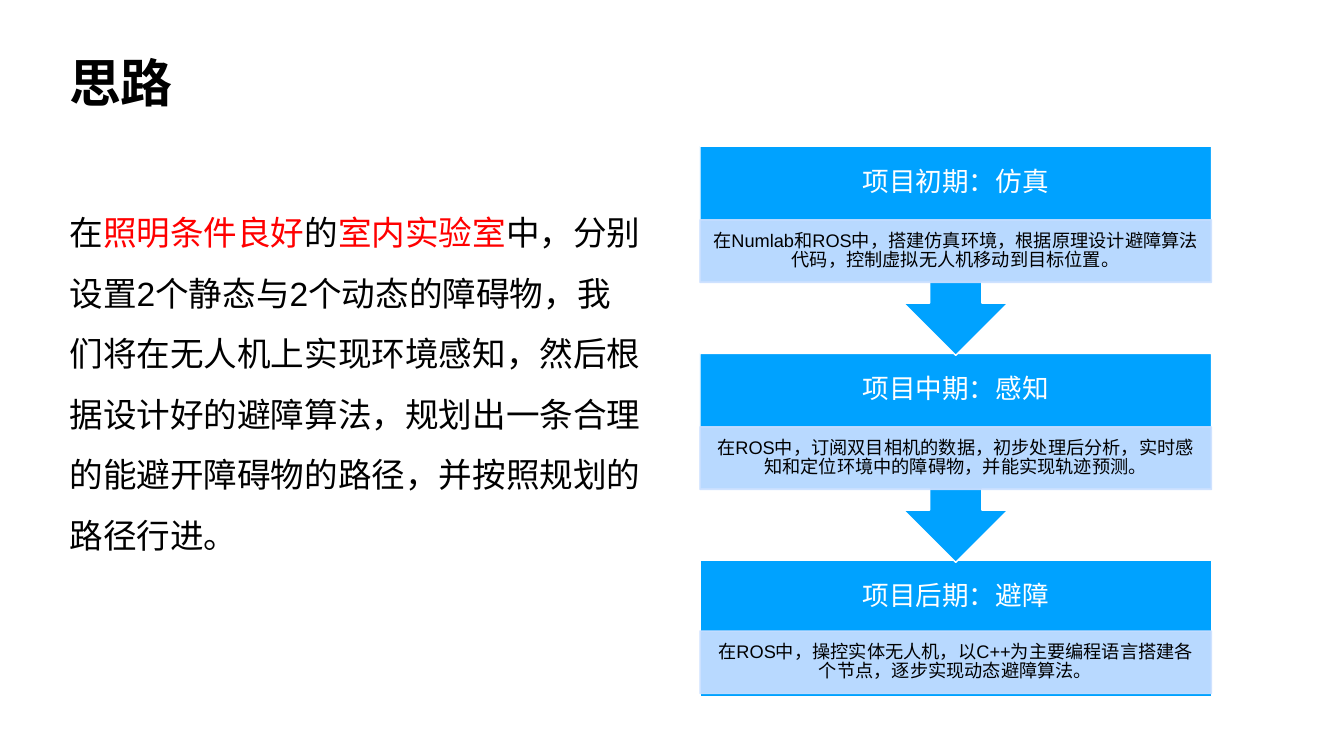
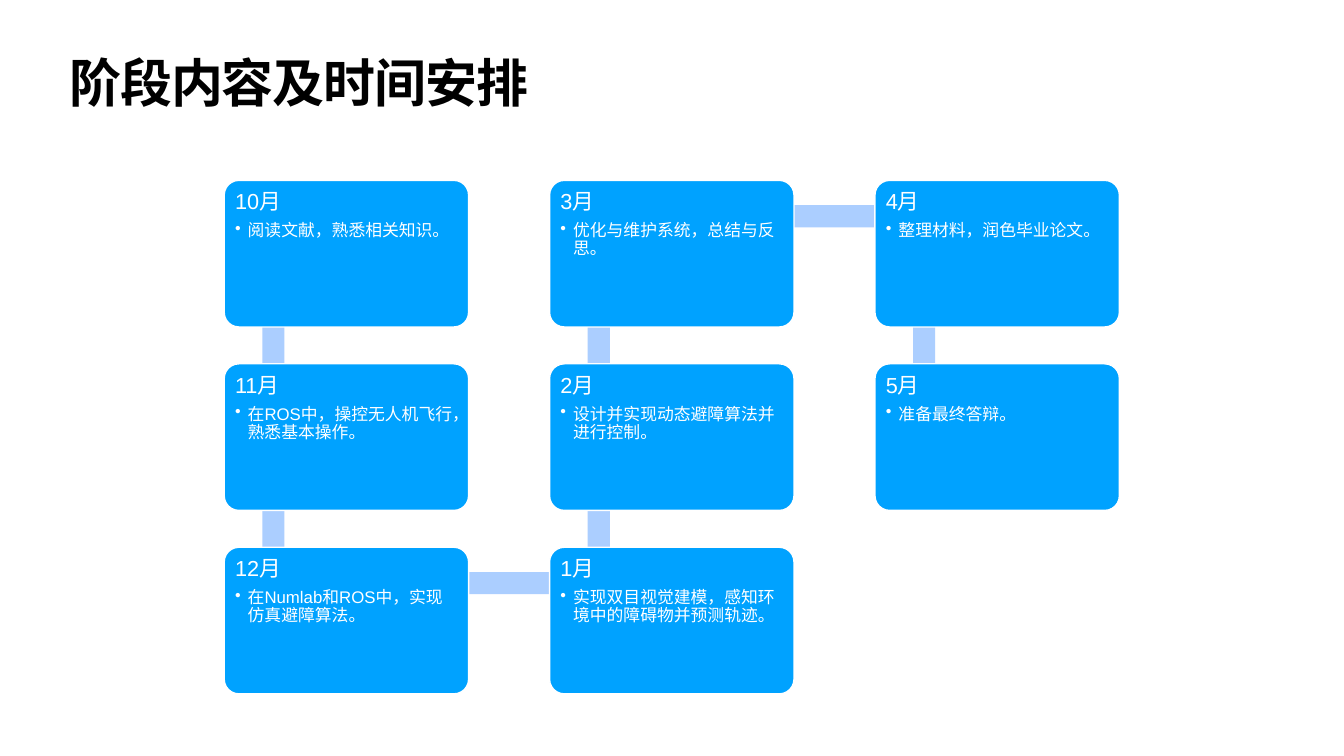
import collections
import itertools

import lxml.etree
import pptx
import pptx.dml.color
import pptx.enum.shapes
import pptx.enum.text
import pptx.oxml.ns
import pptx.util

Cm = pptx.util.Cm
Pt = pptx.util.Pt
SHAPES = pptx.enum.shapes.MSO_SHAPE
ALIGN = pptx.enum.text.PP_ALIGN
ANCHOR = pptx.enum.text.MSO_ANCHOR
qn = pptx.oxml.ns.qn

FONT = "Arial"
COLORS = {
    "text": "000000",
    "highlight": "FF0000",
    "white": "FFFFFF",
    "blue": "00A2FF",
    "pale": "CCE0FF",
    "bar": "ABCEFF",
}

# All box values are centimetres.
Box = collections.namedtuple("Box", "left top width height")

SLIDE_WIDTH, SLIDE_HEIGHT = 67.74, 38.1
TITLE_BOX = Box(3.35, 3, 61.04, 3.99)
IDEA_BOX = Box(3.35, 9.53, 29.11, 22.76)
STAGES_BOX = Box(35.28, 7.37, 25.78, 27.73)
SCHEDULE_BOX = Box(11.3, 9.09, 45.12, 25.88)

IDEA = [
    ("在", "text"),
    ("照明条件良好", "highlight"),
    ("的", "text"),
    ("室内实验室", "highlight"),
    ("中，分别设置2个静态与2个动态的障碍物，我们将在无人机上实现环境感知，"
     "然后根据设计好的避障算法，规划出一条合理的能避开障碍物的路径，"
     "并按照规划的路径行进。", "text"),
]

STAGES = [
    ("项目初期：仿真",
     "在Numlab和ROS中，搭建仿真环境，根据原理设计避障算法代码，控制虚拟无人机移动到目标位置。"),
    ("项目中期：感知",
     "在ROS中，订阅双目相机的数据，初步处理后分析，实时感知和定位环境中的障碍物，并能实现轨迹预测。"),
    ("项目后期：避障",
     "在ROS中，操控实体无人机，以C++为主要编程语言搭建各个节点，逐步实现动态避障算法。"),
]

# Column, row, month, task, in the order of time
SCHEDULE = [
    (0, 0, "10月", "阅读文献，熟悉相关知识。"),
    (0, 1, "11月", "在ROS中，操控无人机飞行，熟悉基本操作。"),
    (0, 2, "12月", "在Numlab和ROS中，实现仿真避障算法。"),
    (1, 2, "1月", "实现双目视觉建模，感知环境中的障碍物并预测轨迹。"),
    (1, 1, "2月", "设计并实现动态避障算法并进行控制。"),
    (1, 0, "3月", "优化与维护系统，总结与反思。"),
    (2, 0, "4月", "整理材料，润色毕业论文。"),
    (2, 1, "5月", "准备最终答辩。"),
]


def rgb(name):
    return pptx.dml.color.RGBColor.from_string(COLORS[name])


def lengths(box):
    return [Cm(value) for value in box]


def set_insets(frame, horizontal, vertical):
    frame.word_wrap = True
    frame.margin_left = frame.margin_right = Cm(horizontal)
    frame.margin_top = frame.margin_bottom = Cm(vertical)


def style_paragraph(paragraph, size, color=None, spacing=0.9, align=ALIGN.LEFT):
    paragraph.alignment = align
    paragraph.line_spacing = spacing
    paragraph.font.name = FONT
    paragraph.font.size = Pt(size)
    if color:
        paragraph.font.color.rgb = rgb(color)


def add_text_box(slide, box, insets=(0.15, 0.15), anchor=ANCHOR.TOP):
    """Add an empty text box and return its first paragraph."""
    frame = slide.shapes.add_textbox(*lengths(box)).text_frame
    set_insets(frame, *insets)
    frame.vertical_anchor = anchor
    return frame.paragraphs[0]


def add_block(slide, kind, box, fill, line=None):
    shape = slide.shapes.add_shape(kind, *lengths(box))
    shape.shadow.inherit = False
    shape.fill.solid()
    shape.fill.fore_color.rgb = rgb(fill)
    if line:
        shape.line.color.rgb = rgb(line)
        shape.line.width = Pt(2)
    else:
        shape.line.fill.background()
    return shape


def set_opacity(shape, percent):
    for color in shape._element.spPr.iter(qn("a:srgbClr")):
        lxml.etree.SubElement(color, qn("a:alpha")).set("val", str(percent * 1000))


def add_title(slide, box, text):
    paragraph = add_text_box(slide, box)
    run = paragraph.add_run()
    run.text = text
    run._r.get_or_add_rPr().set("spc", "-150")
    style_paragraph(paragraph, 74.2, "text", spacing=0.8)
    paragraph.font.bold = True


def add_idea(slide, box):
    paragraph = add_text_box(slide, box)
    style_paragraph(paragraph, 48, spacing=1.5)
    paragraph.space_before = Pt(45)
    for text, color in IDEA:
        run = paragraph.add_run()
        run.text = text
        run.font.color.rgb = rgb(color)


def add_stage(slide, box, heading, detail, is_last):
    """Add one stage; all but the last point down to the next one."""
    heading_height, detail_height = 3.71, 3.15
    detail_top = box.top + (3.56 if is_last else heading_height)
    kind = SHAPES.RECTANGLE if is_last else SHAPES.UP_ARROW_CALLOUT
    block = add_block(slide, kind, box, "blue", "white")
    if not is_last:
        block.rotation = 180

    paragraph = add_text_box(slide, box._replace(height=heading_height),
                             (0.76, 0.76), ANCHOR.MIDDLE)
    paragraph.text = heading
    style_paragraph(paragraph, 38, "white", align=ALIGN.CENTER)

    detail_box = box._replace(top=detail_top, height=detail_height)
    band = add_block(slide, SHAPES.RECTANGLE, detail_box, "pale", "pale")
    set_opacity(band, 90)
    set_insets(band.text_frame, 0.5, 0.1)
    band.text_frame.vertical_anchor = ANCHOR.MIDDLE
    paragraph = band.text_frame.paragraphs[0]
    paragraph.text = detail
    style_paragraph(paragraph, 26, "text", align=ALIGN.CENTER)


def add_stages(slide, box):
    last_height, callout_height = 6.86, 10.54
    last = len(STAGES) - 1
    pitch = (box.height - last_height) / last
    for index in reversed(range(len(STAGES))):
        height = last_height if index == last else callout_height
        stage_box = box._replace(top=box.top + index * pitch, height=height)
        add_stage(slide, stage_box, *STAGES[index], index == last)


def add_month_card(slide, box, month, task):
    card = add_block(slide, SHAPES.ROUNDED_RECTANGLE, box, "blue", "white")
    card.adjustments[0] = 0.1
    frame = card.text_frame
    set_insets(frame, 0.33, 0.33)
    frame.vertical_anchor = ANCHOR.TOP

    heading = frame.paragraphs[0]
    heading.text = month
    style_paragraph(heading, 31, "white")
    heading.space_after = Pt(11)

    item = frame.add_paragraph()
    item.text = task
    item.level = 1
    properties = item._p.get_or_add_pPr()
    properties.set("marL", str(Cm(0.64)))
    properties.set("indent", str(-Cm(0.64)))
    lxml.etree.SubElement(properties, qn("a:buChar")).set("char", "•")
    style_paragraph(item, 24, "white")


def add_link_bar(slide, first, second):
    """Add the bar that joins the anchor points of two cards."""
    thickness, offset_x, offset_y = 1.12, 2.48, 1.81
    left = min(first.left, second.left) + offset_x
    top = min(first.top, second.top) + offset_y
    if first.top == second.top:
        bar = Box(left, top - thickness / 2, abs(first.left - second.left), thickness)
    else:
        bar = Box(left - thickness / 2, top, thickness, abs(first.top - second.top))
    add_block(slide, SHAPES.RECTANGLE, bar, "bar")


def add_schedule(slide, box):
    width, height = 12.32, 7.39
    pitch_x = (box.width - width) / 2
    pitch_y = (box.height - height) / 2
    cards = [
        Box(box.left + column * pitch_x, box.top + row * pitch_y, width, height)
        for column, row, month, task in SCHEDULE
    ]
    for first, second in itertools.pairwise(cards):
        add_link_bar(slide, first, second)
    for card, (column, row, month, task) in zip(cards, SCHEDULE):
        add_month_card(slide, card, month, task)


def add_slide(presentation, title):
    slide = presentation.slides.add_slide(presentation.slide_layouts[6])
    slide.background.fill.solid()
    slide.background.fill.fore_color.rgb = rgb("white")
    add_title(slide, TITLE_BOX, title)
    return slide


def main():
    presentation = pptx.Presentation()
    presentation.slide_width = Cm(SLIDE_WIDTH)
    presentation.slide_height = Cm(SLIDE_HEIGHT)

    idea_slide = add_slide(presentation, "思路")
    add_idea(idea_slide, IDEA_BOX)
    add_stages(idea_slide, STAGES_BOX)

    schedule_slide = add_slide(presentation, "阶段内容及时间安排")
    add_schedule(schedule_slide, SCHEDULE_BOX)

    presentation.save("out.pptx")


if __name__ == "__main__":
    main()
